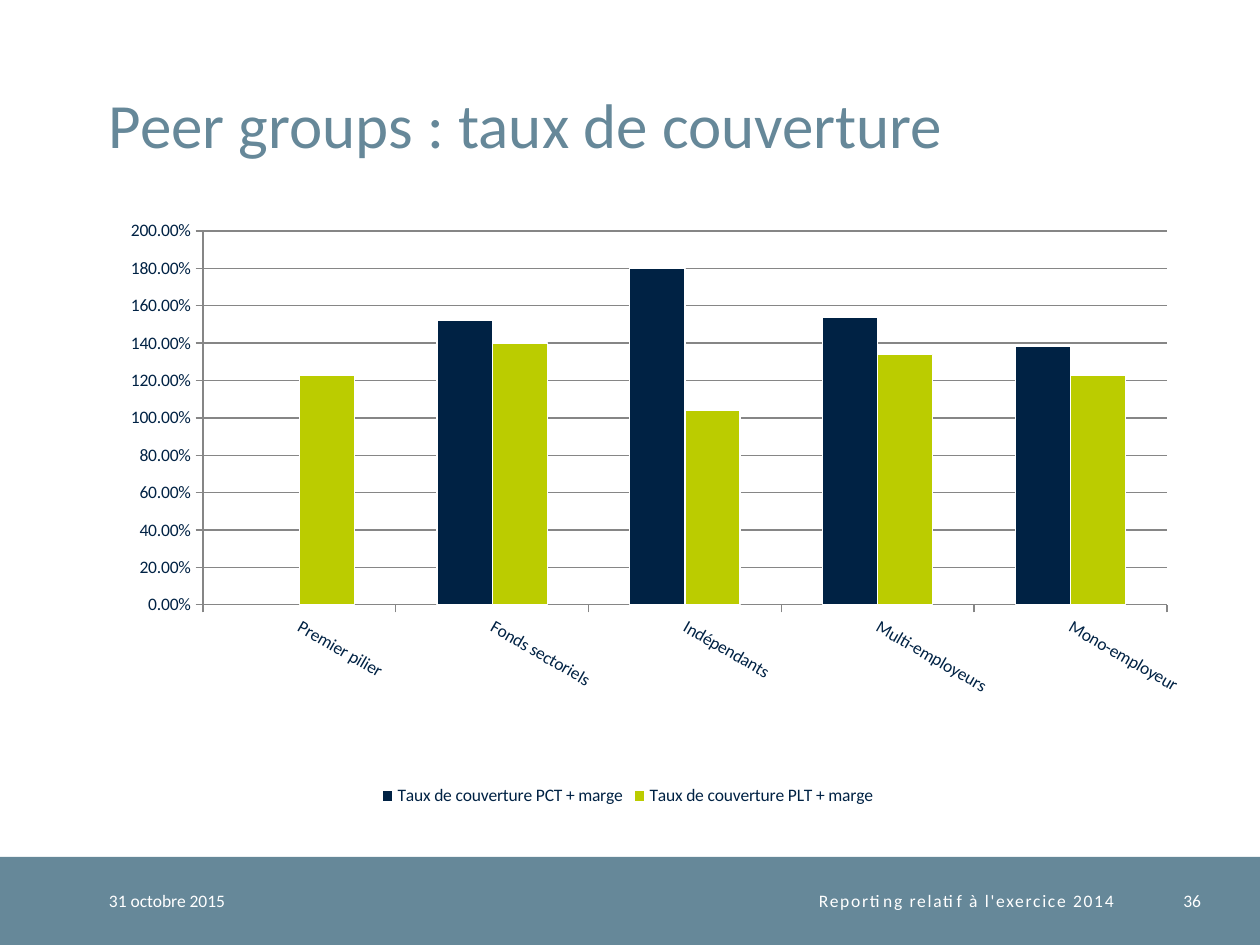
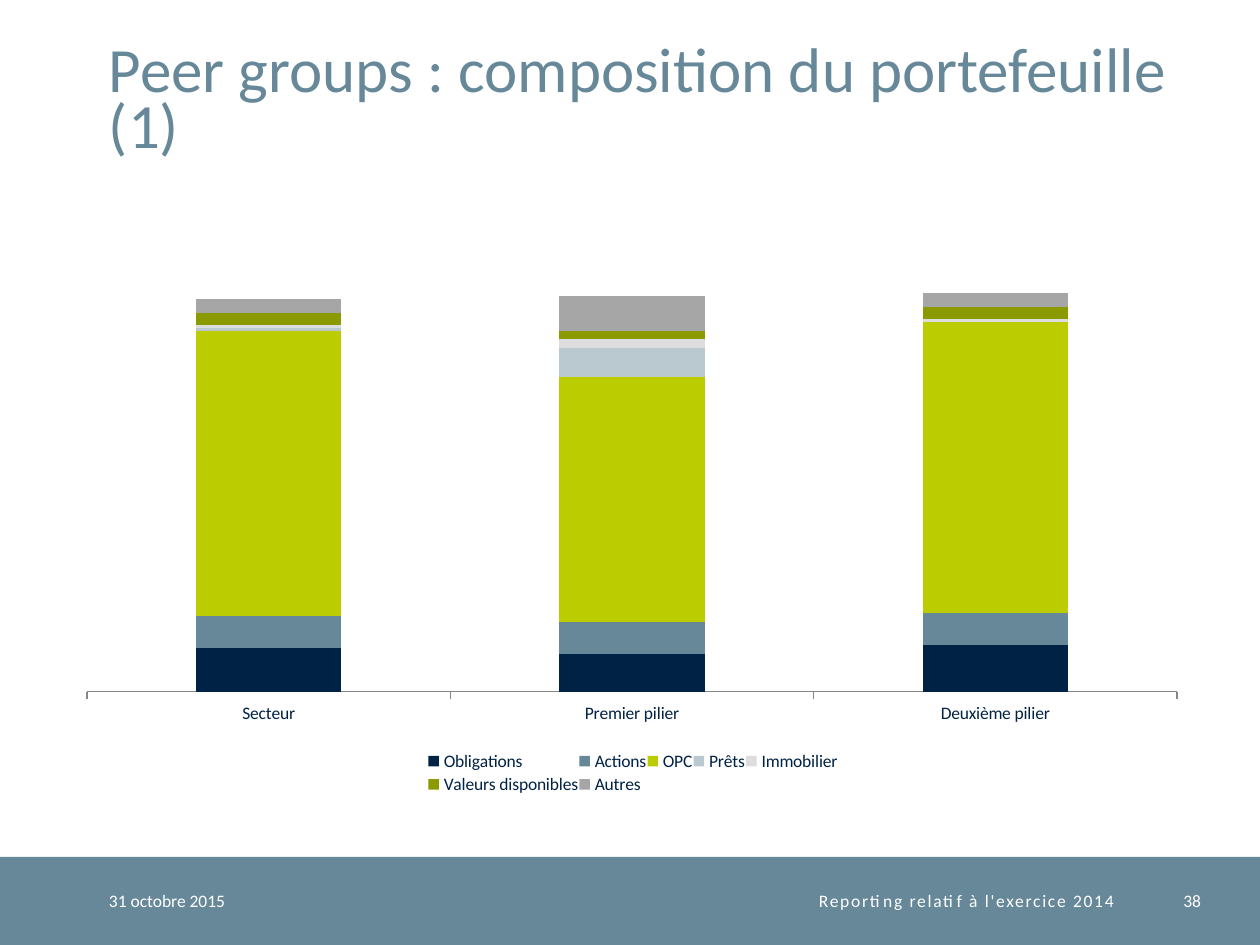
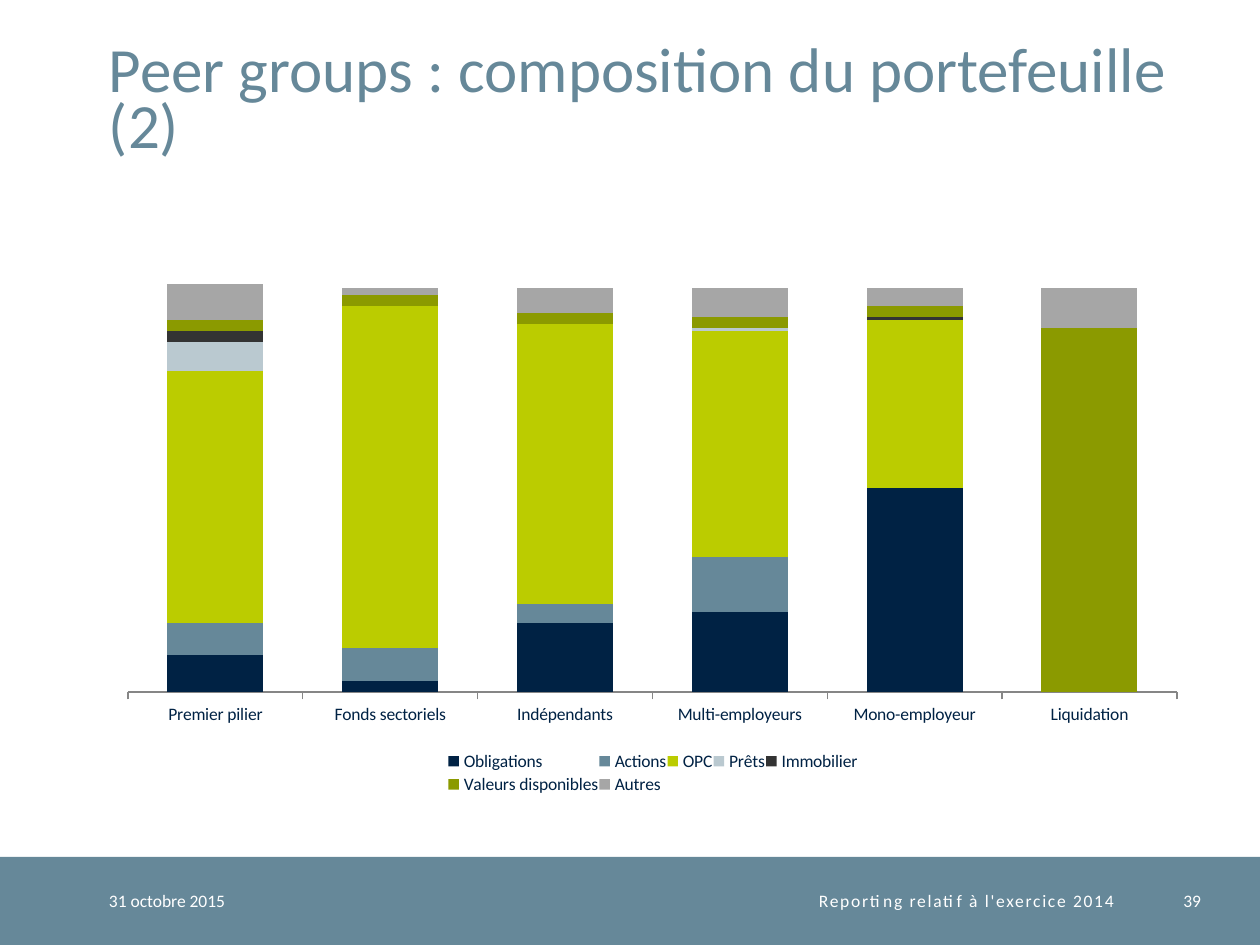
from lxml import etree
from pptx import Presentation
from pptx.chart.data import CategoryChartData
from pptx.dml.color import RGBColor
from pptx.enum.chart import XL_CHART_TYPE, XL_LEGEND_POSITION, XL_TICK_MARK
from pptx.enum.shapes import MSO_SHAPE
from pptx.enum.text import MSO_ANCHOR, PP_ALIGN
from pptx.oxml.ns import qn
from pptx.util import Emu, Pt

CLUSTERED = XL_CHART_TYPE.COLUMN_CLUSTERED
STACKED = XL_CHART_TYPE.COLUMN_STACKED
BOTTOM = XL_LEGEND_POSITION.BOTTOM
OUTSIDE, NO_TICK = XL_TICK_MARK.OUTSIDE, XL_TICK_MARK.NONE
RECTANGLE = MSO_SHAPE.RECTANGLE
MIDDLE, BASE = MSO_ANCHOR.MIDDLE, MSO_ANCHOR.BOTTOM
LEFT, RIGHT = PP_ALIGN.LEFT, PP_ALIGN.RIGHT

PX = 914400 // 126
FONT = "Calibri"
NAVY, SLATE, LIME, WHITE = "002244", "668899", "BBCC00", "FFFFFF"
MIST, SILVER, CHARCOAL, OLIVE, GREY = "BAC9D0", "DDDDDD", "333333", "8B9A00", "A6A6A6"
AXIS = "868686"

BAND = (0, 857, 1260, 88)
TITLE = (109, 25, 1088, 136)
DATE = (109, 857, 223, 88)
FOOTER = (333, 857, 781, 88)
NUMBER = (1139, 857, 62, 88)
DATE_TEXT = "31 octobre 2015"
FOOTER_TEXT = "Reporting relatif à l'exercice 2014"

SLIDES = [
    {
        "title": "Peer groups : taux de couverture",
        "number": "36",
        "type": CLUSTERED,
        "frame": (54, 163, 1147, 648),
        "plot": (203, 231, 964, 374),
        "gap": 150,
        "maximum": 2,
        "categories": ["Premier pilier", "Fonds sectoriels", "Indépendants",
                       "Multi-employeurs", "Mono-employeur"],
        "series": [
            ("Taux de couverture PCT + marge", NAVY, [None, 1.52, 1.8, 1.54, 1.38]),
            ("Taux de couverture PLT + marge", LIME, [1.23, 1.4, 1.04, 1.34, 1.23]),
        ],
    },
    {
        "title": "Peer groups : composition du portefeuille (1)",
        "number": "38",
        "type": STACKED,
        "frame": (64, 204, 1137, 595),
        "plot": (87, 226, 1090, 466),
        "legend": (427, 748, 412, 50),
        "gap": 150,
        "maximum": 160,
        "categories": ["Secteur", "Premier pilier", "Deuxième pilier"],
        "series": [
            ("Obligations", NAVY, [15, 13, 16]),
            ("Actions", SLATE, [11, 11, 11]),
            ("OPC", LIME, [98, 84, 100]),
            ("Prêts", MIST, [1, 10, 0]),
            ("Immobilier", SILVER, [1, 3, 1]),
            ("Valeurs disponibles", OLIVE, [4, 3, 4]),
            ("Autres", GREY, [5, 12, 5]),
        ],
    },
    {
        "title": "Peer groups : composition du portefeuille (2)",
        "number": "39",
        "type": STACKED,
        "frame": (107, 195, 1091, 605),
        "plot": (128, 255, 1049, 437),
        "legend": (447, 748, 412, 50),
        "gap": 82,
        "maximum": 120,
        "categories": ["Premier pilier", "Fonds sectoriels", "Indépendants",
                       "Multi-employeurs", "Mono-employeur", "Liquidation"],
        "series": [
            ("Obligations", NAVY, [10, 3, 19, 22, 56, 0]),
            ("Actions", SLATE, [9, 9, 5, 15, 0, 0]),
            ("OPC", LIME, [69, 94, 77, 62, 46, 0]),
            ("Prêts", MIST, [8, 0, 0, 1, 0, 0]),
            ("Immobilier", CHARCOAL, [3, 0, 0, 0, 1, 0]),
            ("Valeurs disponibles", OLIVE, [3, 3, 3, 3, 3, 100]),
            ("Autres", GREY, [10, 2, 7, 8, 5, 11]),
        ],
    },
]


def color(value):
    return RGBColor.from_string(value)


def emu(frame):
    return [Emu(length * PX) for length in frame]


def style_font(font, size, value):
    font.name = FONT
    font.size = Pt(size)
    font.color.rgb = color(value)


def style_line(line, value):
    line.color.rgb = color(value)
    line.width = Pt(0.75)


def add_text(page, frame, text, size=10, value=WHITE, align=LEFT, anchor=MIDDLE,
             leading=None, tracking=None):
    body = page.shapes.add_textbox(*emu(frame)).text_frame
    body.word_wrap = True
    body.vertical_anchor = anchor
    body.margin_left = body.margin_right = body.margin_top = body.margin_bottom = 0
    para = body.paragraphs[0]
    para.alignment = align
    span = para.add_run()
    span.text = text
    style_font(para.font, size, value)
    if leading:
        para.line_spacing = Pt(leading)
    if tracking:
        span._r.get_or_add_rPr().set("spc", str(tracking * 100))


def add_frame(page, title, number):
    band = page.shapes.add_shape(RECTANGLE, *emu(BAND))
    band.shadow.inherit = False
    band.fill.solid()
    band.fill.fore_color.rgb = color(SLATE)
    band.line.fill.background()
    add_text(page, TITLE, title, 36, SLATE, anchor=BASE, leading=32)
    add_text(page, DATE, DATE_TEXT)
    add_text(page, FOOTER, FOOTER_TEXT, align=RIGHT, tracking=1)
    add_text(page, NUMBER, number, align=RIGHT)


def place(parent, index, part, frame, inner=False):
    for old in parent.findall(qn("c:layout")):
        parent.remove(old)
    layout = etree.Element(qn("c:layout"))
    parent.insert(index, layout)
    manual = etree.SubElement(layout, qn("c:manualLayout"))
    left, top, width, height = frame
    settings = [("layoutTarget", "inner")] if inner else []
    settings += [
        ("xMode", "edge"), ("yMode", "edge"),
        ("x", (part[0] - left) / width), ("y", (part[1] - top) / height),
        ("w", part[2] / width), ("h", part[3] / height),
    ]
    for name, setting in settings:
        etree.SubElement(manual, qn(f"c:{name}")).set("val", str(setting))


def add_columns(page, content):
    stacked = content["type"] == STACKED
    data = CategoryChartData(number_format="0.00%")
    data.categories = content["categories"]
    for name, _, values in content["series"]:
        data.add_series(name, values)
    frame = content["frame"]
    chart = page.shapes.add_chart(content["type"], *emu(frame), data).chart
    chart.has_title = False
    style_font(chart.font, 10, NAVY)

    plot = chart.plots[0]
    plot.vary_by_categories = False
    plot.gap_width = content["gap"]
    plot.overlap = 100 if stacked else 0
    for series, (_, value, _) in zip(plot.series, content["series"]):
        series.format.fill.solid()
        series.format.fill.fore_color.rgb = color(value)
        if stacked:
            series.format.line.fill.background()
        else:
            style_line(series.format.line, WHITE)

    categories, scale = chart.category_axis, chart.value_axis
    categories.major_tick_mark = OUTSIDE
    categories.minor_tick_mark = NO_TICK
    style_line(categories.format.line, AXIS)
    scale.minimum_scale = 0
    scale.maximum_scale = content["maximum"]
    scale.has_major_gridlines = not stacked
    scale.visible = not stacked
    if not stacked:
        scale.major_unit = 0.2
        scale.major_tick_mark = OUTSIDE
        scale.minor_tick_mark = NO_TICK
        scale.tick_labels.number_format = "0.00%"
        scale.tick_labels.number_format_is_linked = False
        style_line(scale.format.line, AXIS)
        style_line(scale.major_gridlines.format.line, AXIS)
        style_font(categories.tick_labels.font, 10, NAVY)
        turn = categories._element.find(qn("c:txPr")).find(qn("a:bodyPr"))
        turn.set("rot", str(30 * 60000))
        turn.set("vert", "horz")

    chart.has_legend = True
    chart.legend.position = BOTTOM
    chart.legend.include_in_layout = False
    place(chart._chartSpace.chart.plotArea, 0, content["plot"], frame, inner=True)
    if "legend" in content:
        place(chart.legend._element, 1, content["legend"], frame)


def main():
    deck = Presentation()
    deck.slide_width, deck.slide_height = Emu(1260 * PX), Emu(945 * PX)
    for content in SLIDES:
        page = deck.slides.add_slide(deck.slide_layouts[6])
        add_frame(page, content["title"], content["number"])
        add_columns(page, content)
    deck.save("out.pptx")


if __name__ == "__main__":
    main()
